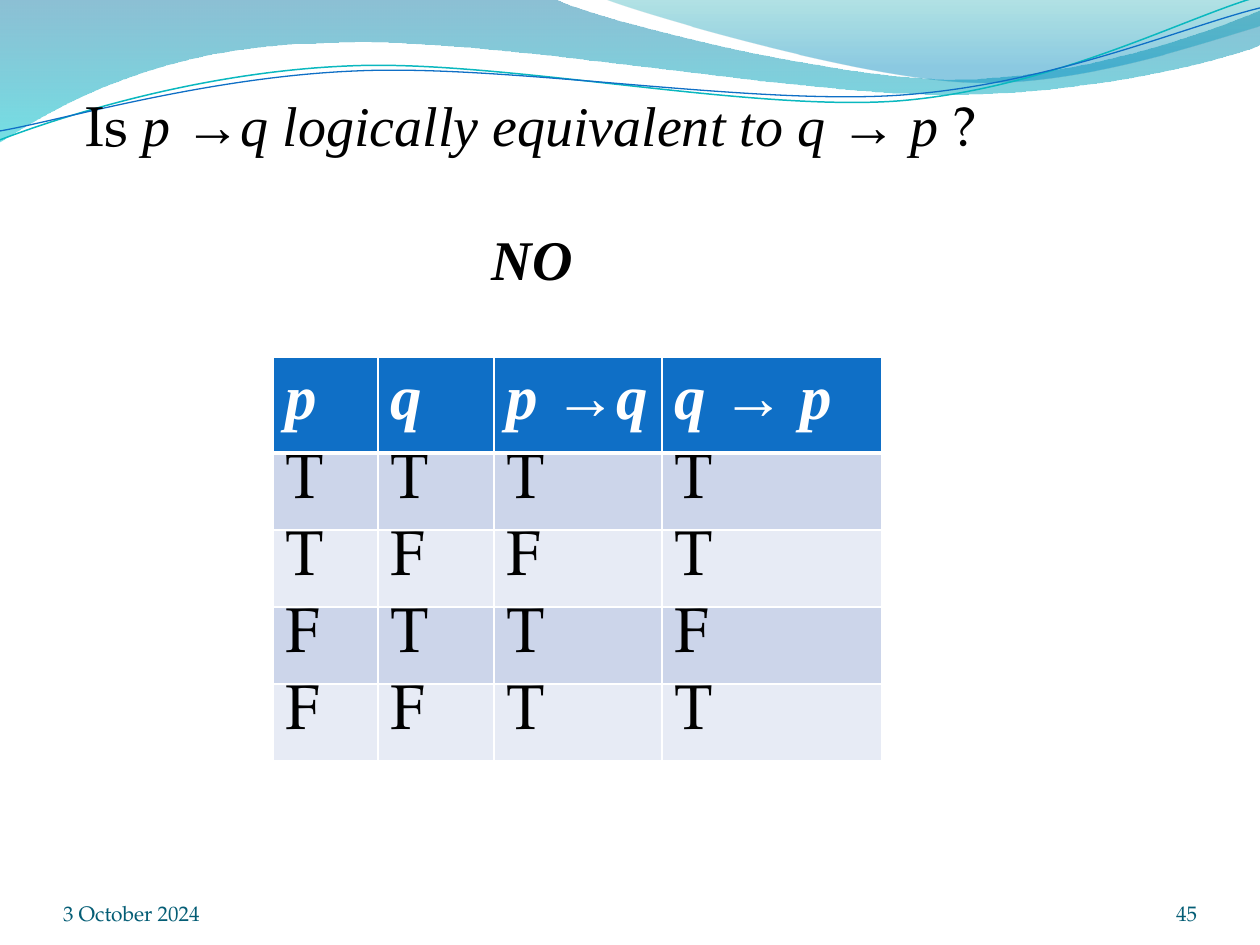
from math import cos, radians, sin

from lxml.etree import SubElement
from pptx import Presentation
from pptx.dml.color import RGBColor as RGB
from pptx.enum.text import MSO_ANCHOR as ANCHOR, PP_ALIGN as ALIGN
from pptx.oxml.ns import qn
from pptx.util import Pt

PX = 914400 / 126
SERIF, ROMAN = "TeX Gyre Pagella", "Times New Roman"
BLACK = RGB(0x00, 0x00, 0x00)
WHITE = RGB(0xFF, 0xFF, 0xFF)
BLUE = RGB(0x0F, 0x6F, 0xC6)
TEAL = RGB(0x0A, 0xB8, 0xBF)
FOOTER = RGB(0x04, 0x5D, 0x75)
BANDS = (RGB(0xCC, 0xD5, 0xEA), RGB(0xE7, 0xEB, 0xF5))
WAVE = ((0, RGB(0x00, 0x74, 0xA1), 45), (100, RGB(0x00, 0xC6, 0xCF), 55))
CREST = ((0, RGB(0x00, 0xA1, 0xA9), 30), (80, RGB(0x00, 0x8B, 0xBF), 45))
TILT = 2.7


def emu(px):
    return round(px * PX)


def pairs(seg):
    return list(zip(seg[::2], seg[1::2]))


def turn(segments, degrees):
    (x0, y0), (x1, y1) = segments[0][:2], segments[-1][-2:]
    cx, cy = (x0 + x1) / 2, (y0 + y1) / 2
    c, s = cos(radians(degrees)), sin(radians(degrees))
    return [[v for x, y in pairs(seg)
             for v in (cx + (x - cx) * c - (y - cy) * s,
                       cy + (x - cx) * s + (y - cy) * c)]
            for seg in segments]


class Deck:
    def __init__(self, width, height):
        self.prs = Presentation()
        self.prs.slide_width, self.prs.slide_height = emu(width), emu(height)
        self.s = self.prs.slides.add_slide(self.prs.slide_layouts[6])

    def outline(self, segments, close):
        ends = [(emu(seg[-2]), emu(seg[-1])) for seg in segments]
        fb = self.s.shapes.build_freeform(*ends[0], scale=1.0)
        fb.add_line_segments(ends[1:], close=close)
        sp = fb.convert_to_shape()
        sp.shadow.inherit = False
        lines = list(sp._element.spPr.iter(qn("a:lnTo")))
        for line, seg in zip(lines, segments[1:]):
            if len(seg) == 6:
                bezier = SubElement(line.getparent(), qn("a:cubicBezTo"))
                line.getparent().replace(line, bezier)
                for x, y in pairs(seg):
                    SubElement(bezier, qn("a:pt"), x=str(emu(x) - sp.left),
                               y=str(emu(y) - sp.top))
        return sp

    def wave(self, segments, stops):
        sp = self.outline(segments, True)
        sp.line.fill.background()
        sp.fill.gradient()
        sp.fill.gradient_angle = 270
        for stop, (pos, color, alpha) in zip(sp.fill.gradient_stops, stops):
            stop.position = pos / 100
            stop.color.rgb = color
        colors = sp._element.spPr.iter(qn("a:srgbClr"))
        for clr, (pos, color, alpha) in zip(colors, stops):
            SubElement(clr, qn("a:alpha"), val=str(alpha * 1000))

    def curve(self, segments, color, width):
        sp = self.outline(turn(segments, TILT), False)
        sp.rotation = 360 - TILT
        sp.fill.background()
        sp.line.color.rgb = color
        sp.line.width = Pt(width)

    def runs(self, p, parts, size, color, bold=False):
        for text, font, italic in parts:
            r = p.add_run()
            r.text = text
            f = r.font
            f.name, f.size, f.bold, f.italic = font, Pt(size), bold, italic
            f.color.rgb = color

    def text(self, x, y, w, h, inset=0, anchor=ANCHOR.BOTTOM):
        tf = self.s.shapes.add_textbox(emu(x), emu(y), emu(w), emu(h)).text_frame
        tf.word_wrap = True
        tf.vertical_anchor = anchor
        tf.margin_left = tf.margin_right = emu(inset)
        tf.margin_top = tf.margin_bottom = emu(inset / 2)
        return tf

    def footer(self, x, w, text, align):
        p = self.text(x, 876, w, 50).paragraphs[0]
        p.alignment = align
        self.runs(p, [(text, SERIF, False)], 12, FOOTER)

    def border(self, cell, side, width):
        tcPr = cell._tc.get_or_add_tcPr()
        ln = SubElement(tcPr, qn(f"a:ln{side}"), w=str(Pt(width)))
        fill = SubElement(ln, qn("a:solidFill"))
        SubElement(fill, qn("a:srgbClr"), val=str(WHITE))

    def table(self, x, y, widths, heights, head, body):
        tbl = self.s.shapes.add_table(len(heights), len(widths), emu(x), emu(y),
                                      emu(sum(widths)), emu(sum(heights))).table
        for col, w in zip(tbl.columns, widths):
            col.width = emu(w)
        for row, h in zip(tbl.rows, heights):
            row.height = emu(h)
        for i in range(len(heights)):
            for j in range(len(widths)):
                cell = tbl.cell(i, j)
                p = cell.text_frame.paragraphs[0]
                if i == 0:
                    for side in "LRTB":
                        self.border(cell, side, 3 if side == "B" else 1)
                    self.runs(p, head[j], 36, WHITE, True)
                else:
                    cell.margin_top = cell.margin_bottom = 0
                    self.runs(p, [(body[i - 1][j], SERIF, False)], 36, BLACK)
                cell.fill.solid()
                cell.fill.fore_color.rgb = BANDS[(i - 1) % 2] if i else BLUE


def main():
    deck = Deck(1260, 945)

    deck.wave([(0, 0), (554, -1), (600, 21, 837, 79, 955, 79),
               (1075, 79, 1207, 33, 1260, 11), (1261, 45),
               (1239, 55, 1096, 96, 940, 94), (784, 94, 481, 35, 324, 43),
               (163, 45, 58, 105, -1, 142)], WAVE)
    deck.wave([(604, -1), (641, 14, 859, 78, 969, 82),
               (1079, 87, 1211, 40, 1260, 26), (1260, 0)], CREST)
    deck.curve([(0, 140), (60, 117, 199, 72, 349, 66),
                (498, 59, 747, 112, 898, 101),
                (1050, 89, 1182, 19, 1257, -3)], TEAL, 0.85)
    deck.curve([(0, 131), (59, 121, 207, 77, 356, 71),
                (508, 64, 752, 106, 903, 95),
                (1053, 84, 1186, 26, 1260, 8)], BLUE, 0.75)

    head = [[("p", ROMAN, True)],
            [("q", ROMAN, True)],
            [("p ", ROMAN, True), ("→", ROMAN, False), ("q", ROMAN, True)],
            [("q ", ROMAN, True), ("→ ", ROMAN, False), ("p", ROMAN, True)]]
    deck.table(273, 357, (105, 116, 168, 220), (96, 77, 77, 77, 77),
               head, ("TTTT", "TFFT", "FTTF", "FFTT"))

    deck.footer(63, 294, "3 October 2024", ALIGN.LEFT)
    deck.footer(1092, 105, "45", ALIGN.RIGHT)

    tf = deck.text(74, 85, 945, 285, 12, ANCHOR.TOP)
    question = [("Is ", SERIF, False), ("p ", ROMAN, True), ("→", ROMAN, False),
                ("q logically equivalent to q ", ROMAN, True),
                ("→ ", ROMAN, False), ("p", ROMAN, True), (" ?", SERIF, False)]
    deck.runs(tf.paragraphs[0], question, 32, BLACK)
    p = tf.add_paragraph()
    p.space_before = Pt(38)
    p._p.get_or_add_pPr().set("marL", str(emu(406)))
    deck.runs(p, [("NO", ROMAN, True)], 32, BLACK, True)

    deck.prs.save("out.pptx")


if __name__ == "__main__":
    main()
